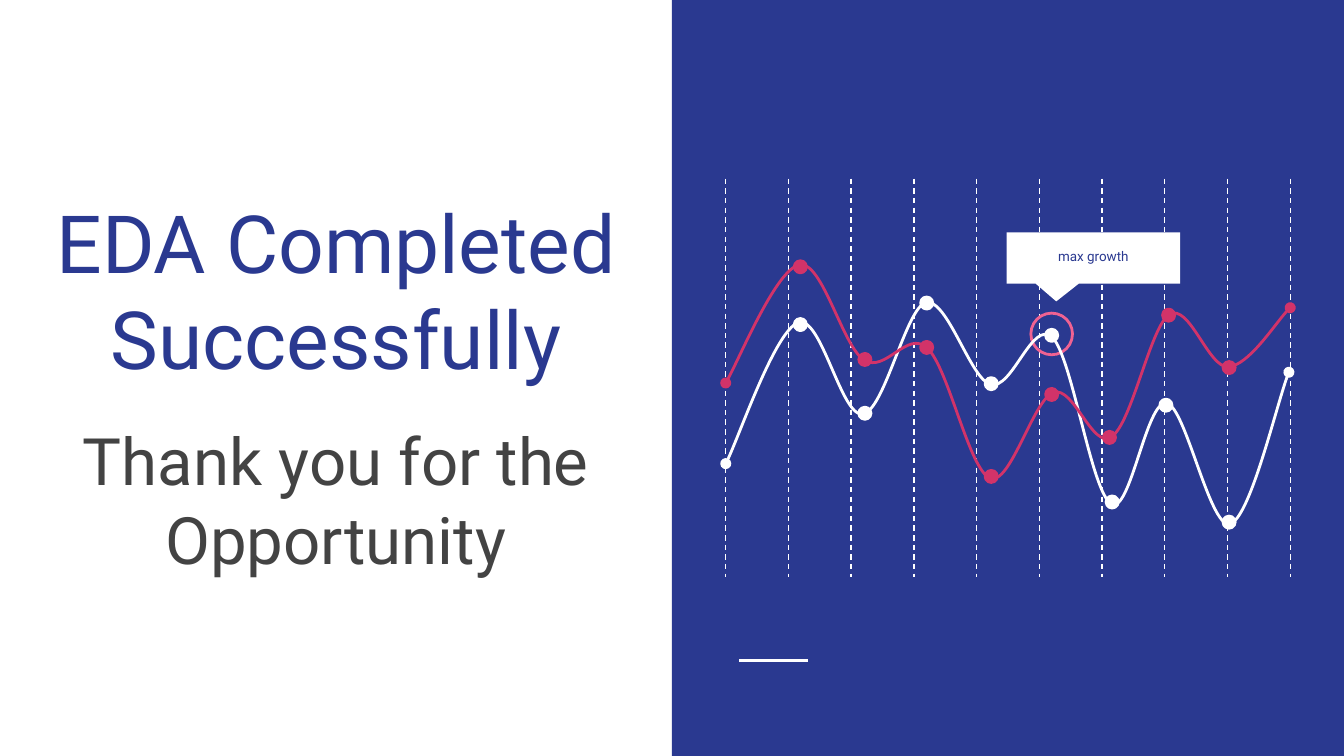
from typing import NamedTuple

from lxml.etree import SubElement
from pptx import Presentation
from pptx.dml.color import RGBColor
from pptx.enum.dml import MSO_LINE
from pptx.enum.shapes import MSO_CONNECTOR, MSO_SHAPE
from pptx.enum.text import MSO_ANCHOR, MSO_AUTO_SIZE, PP_ALIGN
from pptx.oxml.ns import qn
from pptx.util import Inches, Pt

COLS, ROWS = 1000, 562.5
CELL = Inches(10) / COLS
NAVY, WHITE, ROSE, PINK, GREY = "2A3990", "FFFFFF", "D23369", "F06292", "434343"
DOT = 9


class Box(NamedTuple):
    """A place on the slide in grid columns and rows."""
    x: float
    y: float
    w: float
    h: float


class Label(NamedTuple):
    """A centred text with its place and style."""
    text: str
    box: Box
    size: float
    hue: str
    anchor: MSO_ANCHOR
    space: float = 1.0


class Curve(NamedTuple):
    """A smooth line of knots and handles, with the corners of its dots."""
    hue: str
    points: list
    dots: list


TITLE = Label("EDA Completed Successfully", Box(29, 126, 442, 171), 43, NAVY, MSO_ANCHOR.BOTTOM)
THANKS = Label("Thank you for the Opportunity", Box(29, 303, 442, 139), 35, GREY, MSO_ANCHOR.TOP)
GROWTH = Label("max growth", Box(749, 176, 129, 31), 7.2, NAVY, MSO_ANCHOR.MIDDLE, 0.95)

LOWER = Curve(
    WHITE,
    [(540, 345), (549, 328), (577, 246), (594, 240), (611, 234), (626, 311), (642, 308),
     (658, 306), (674, 229), (689, 225), (705, 222), (722, 282), (737, 286),
     (753, 291), (768, 237), (783, 251), (798, 266), (812, 367), (827, 375),
     (841, 383), (853, 297), (868, 300), (882, 302), (900, 393), (915, 390),
     (930, 386), (951, 296), (959, 277)],
    [(591, 237), (639, 303), (685, 221), (733, 281), (778, 245), (823, 369), (863, 297),
     (910, 384)],
)
UPPER = Curve(
    ROSE,
    [(540, 285), (549, 270), (578, 200), (595, 197), (612, 194), (627, 258), (643, 268),
     (659, 278), (675, 245), (690, 259), (706, 274), (721, 350), (737, 356),
     (752, 361), (769, 297), (784, 292), (799, 287), (813, 335), (827, 325),
     (842, 316), (856, 243), (870, 234), (885, 225), (899, 274), (914, 273),
     (929, 272), (952, 236), (960, 229)],
    [(591, 194), (639, 263), (685, 254), (733, 350), (778, 289), (821, 321), (865, 230),
     (910, 269)],
)


def grid(*cells: float) -> list[int]:
    """Turn grid cells into slide lengths."""
    return [round(cell * CELL) for cell in cells]


def tint(part, hue: str) -> None:
    """Give a fill or a line a solid colour."""
    fill = getattr(part, "fill", part)
    fill.solid()
    fill.fore_color.rgb = RGBColor.from_string(hue)


def shape(slide, kind: MSO_SHAPE, box: Box, fill: str = "", line: str = ""):
    """Draw a preset shape without a shadow."""
    form = slide.shapes.add_shape(kind, *grid(*box))
    form.shadow.inherit = False
    tint(form.fill, fill) if fill else form.fill.background()
    if line:
        tint(form.line, line)
        form.line.width = Pt(1.5)
    else:
        form.line.fill.background()
    return form


def rule(slide, start: tuple, end: tuple, width: float, dash: bool = False) -> None:
    """Draw a straight white line."""
    link = slide.shapes.add_connector(MSO_CONNECTOR.STRAIGHT, *grid(*start, *end))
    tint(link.line, WHITE)
    link.line.width = Pt(width)
    if dash:
        link.line.dash_style = MSO_LINE.DASH
    SubElement(link._element.spPr, qn("a:effectLst"))


def bend(form) -> None:
    """Join each three straight steps of an outline into one cubic curve."""
    steps = list(form._element.iter(qn("a:lnTo")))
    for i in range(0, len(steps), 3):
        arc = steps[i]
        arc.tag = qn("a:cubicBezTo")
        for step in steps[i + 1:i + 3]:
            arc.append(step[0])
            step.getparent().remove(step)


def plot(slide, curve: Curve) -> None:
    """Draw a smooth curve with oval ends and its dots."""
    first, *rest = curve.points
    pen = slide.shapes.build_freeform(*first, scale=CELL)
    pen.add_line_segments(rest, close=False)
    form = pen.convert_to_shape()
    bend(form)
    form.shadow.inherit = False
    form.fill.background()
    tint(form.line, curve.hue)
    form.line.width = Pt(1.5)
    for end in ("a:headEnd", "a:tailEnd"):
        SubElement(form.line._get_or_add_ln(), qn(end), type="oval", w="med", len="med")
    for x, y in curve.dots:
        shape(slide, MSO_SHAPE.OVAL, Box(x, y, DOT, DOT), curve.hue, curve.hue)


def write(slide, label: Label, holder=None) -> None:
    """Set a label in a placeholder or in a new text box."""
    area = holder or slide.shapes.add_textbox(0, 0, 0, 0)
    area.left, area.top, area.width, area.height = grid(*label.box)
    frame = area.text_frame
    frame.text = label.text
    frame.word_wrap = True
    frame.auto_size = MSO_AUTO_SIZE.NONE
    frame.vertical_anchor = label.anchor
    frame.margin_left = frame.margin_right = Inches(0.1)
    frame.margin_top = frame.margin_bottom = Inches(0.1)
    para = frame.paragraphs[0]
    para.alignment = PP_ALIGN.CENTER
    para.line_spacing = label.space
    font = para.runs[0].font
    font.name, font.size = "Roboto", Pt(label.size)
    font.color.rgb = RGBColor.from_string(label.hue)


def main() -> None:
    """Build the closing slide and save it."""
    deck = Presentation()
    deck.slide_width, deck.slide_height = grid(COLS, ROWS)
    slide = deck.slides.add_slide(deck.slide_layouts[5])
    tint(slide.background.fill, WHITE)
    shape(slide, MSO_SHAPE.RECTANGLE, Box(COLS / 2, 0, COLS / 2, ROWS), NAVY)
    rule(slide, (550, 491.5), (601, 491.5), 1.5)
    for i in range(10):
        x = 540 + i * 420 / 9
        rule(slide, (x, 133), (x, 429), 0.75, dash=True)
    shape(slide, MSO_SHAPE.OVAL, Box(767, 233, 31, 31), line=PINK)
    write(slide, TITLE, slide.shapes.title)
    write(slide, THANKS)
    plot(slide, LOWER)
    callout = shape(slide, MSO_SHAPE.ROUNDED_RECTANGULAR_CALLOUT, Box(749, 173, 129, 38), WHITE)
    for i, value in enumerate((-0.214, 0.85, 0)):
        callout.adjustments[i] = value
    plot(slide, UPPER)
    write(slide, GROWTH)
    deck.save("out.pptx")


if __name__ == "__main__":
    main()
